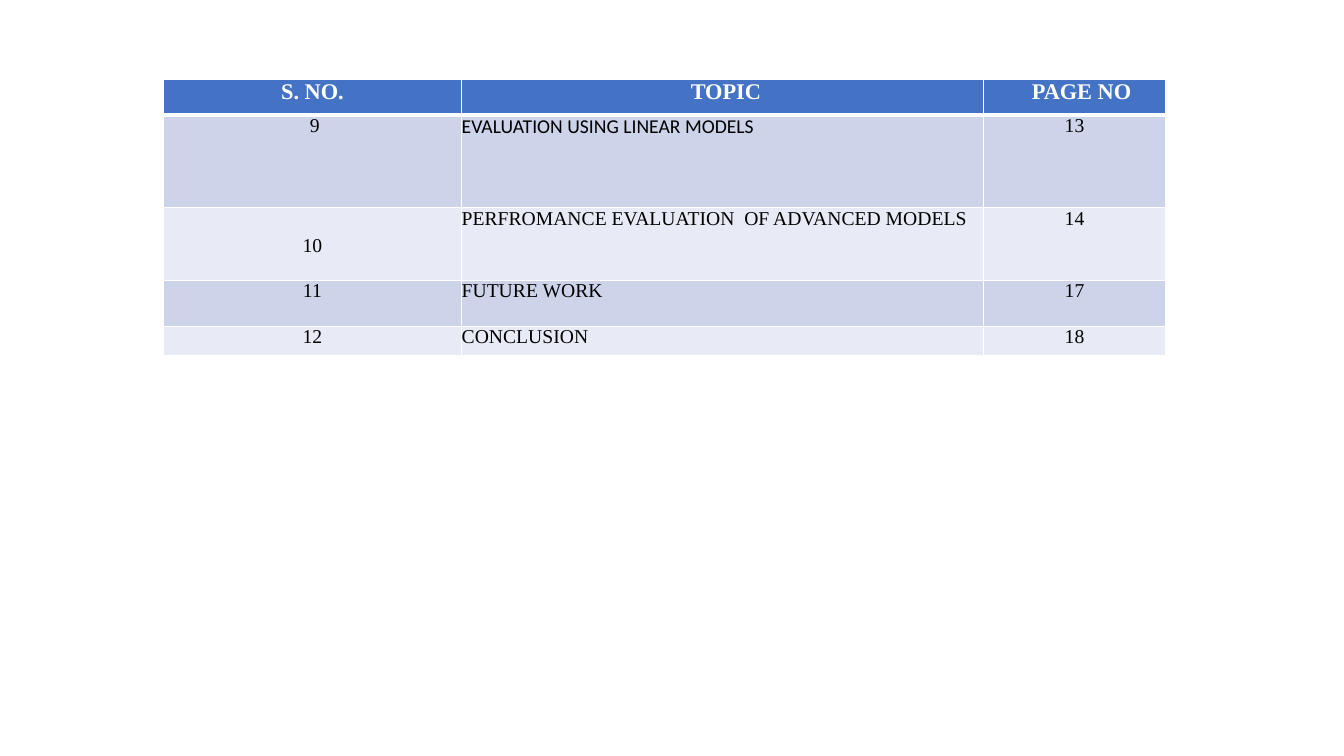
from lxml.etree import SubElement
from pptx import Presentation
from pptx.dml.color import RGBColor
from pptx.enum.text import PP_ALIGN
from pptx.oxml.ns import qn
from pptx.util import Pt

WHITE = RGBColor(0xFF, 0xFF, 0xFF)
BLACK = RGBColor(0x00, 0x00, 0x00)
BLUE = RGBColor(0x44, 0x72, 0xC4)
BANDS = [RGBColor(0xE8, 0xEB, 0xF5), RGBColor(0xCD, 0xD4, 0xEA)]

SERIF, SANS = "Times New Roman", "Calibri"
WIDTHS = [213.2, 372.5, 130.6]
HEIGHTS = [25.2, 66.2, 51.8, 33.1, 20.9]
ROWS = [
    ["S. NO.", "TOPIC", "PAGE NO"],
    [" 9", "EVALUATION USING LINEAR MODELS", "13"],
    ["10", "PERFROMANCE EVALUATION  OF ADVANCED MODELS", "14"],
    ["11", "FUTURE WORK", "17"],
    ["12", "CONCLUSION", "18"],
]
INSETS = {
    (0, 1): {"margin_left": Pt(5)},
    (0, 2): {"margin_left": Pt(10)},
    (2, 0): {"margin_top": Pt(19.6)},
}
FACES = {(1, 1): SANS}


def apply(item, values):
    """Set each named attribute of an item."""
    for name, value in values.items():
        setattr(item, name, value)


def add_edge(cell, side, width):
    """Draw one white border of a cell."""
    props = cell._tc.get_or_add_tcPr()
    line = SubElement(props, qn(f"a:ln{side}"), w=str(Pt(width)))
    fill = SubElement(line, qn("a:solidFill"))
    SubElement(fill, qn("a:srgbClr"), val=str(WHITE))


def fill_cell(cell, row, col, text):
    """Write and format one cell of the contents table."""
    head = row == 0
    for side in "LRTB":
        thick = (row, side) in [(0, "B"), (1, "T")]
        add_edge(cell, side, 3 if thick else 1)
    cell.fill.solid()
    cell.fill.fore_color.rgb = BLUE if head else BANDS[row % 2]
    sides = ["left", "right", "top", "bottom"]
    apply(cell, {f"margin_{side}": Pt(0) for side in sides})
    apply(cell, INSETS.get((row, col), {}))
    cell.text = text
    para = cell.text_frame.paragraphs[0]
    left = col == 1 and not head
    apply(para, {
        "alignment": PP_ALIGN.LEFT if left else PP_ALIGN.CENTER,
        "space_before": Pt(4 if head else 3),
    })
    font = para.runs[0].font
    apply(font, {
        "name": FACES.get((row, col), SERIF),
        "size": Pt(16 if head else 14),
        "bold": head,
    })
    font.color.rgb = WHITE if head else BLACK


def add_topics(slide):
    """Add the table of topics and page numbers."""
    table = slide.shapes.add_table(
        len(ROWS), len(WIDTHS), Pt(116.6), Pt(56.9),
        Pt(sum(WIDTHS)), Pt(sum(HEIGHTS))).table
    for column, width in zip(table.columns, WIDTHS):
        column.width = Pt(width)
    for line, height in zip(table.rows, HEIGHTS):
        line.height = Pt(height)
    for row, texts in enumerate(ROWS):
        for col, text in enumerate(texts):
            fill_cell(table.cell(row, col), row, col, text)


def main():
    """Build and save the slide."""
    deck = Presentation()
    apply(deck, {"slide_width": Pt(960), "slide_height": Pt(540)})
    slide = deck.slides.add_slide(deck.slide_layouts[6])
    add_topics(slide)
    deck.save("out.pptx")


if __name__ == "__main__":
    main()
